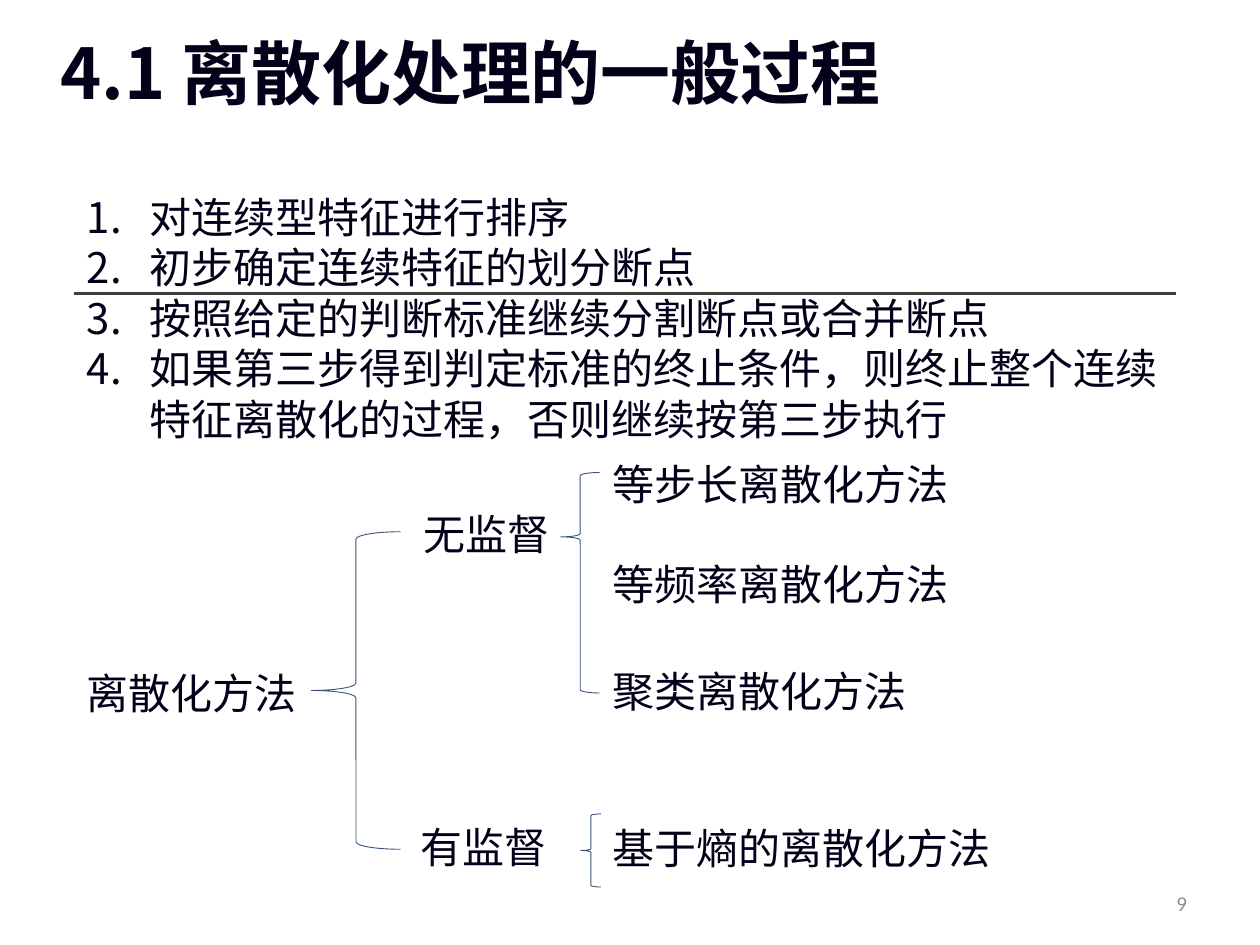
from lxml import etree
from pptx import Presentation
from pptx.dml.color import RGBColor
from pptx.enum.shapes import MSO_CONNECTOR, MSO_SHAPE
from pptx.enum.text import MSO_ANCHOR, PP_ALIGN
from pptx.oxml.ns import qn
from pptx.util import Inches, Pt

COLORS = {"text": "03001A", "rule": "404040", "brace": "39527B", "number": "8C8C8C"}
CJK = "Noto Sans CJK SC"

STEPS = [
    "对连续型特征进行排序",
    "初步确定连续特征的划分断点",
    "按照给定的判断标准继续分割断点或合并断点",
    "如果第三步得到判定标准的终止条件，则终止整个连续特征离散化的过程，否则继续按第三步执行",
]
# Tree labels: text, left, top, width
LABELS = [
    ("离散化方法", 0.59, 5.25, 1.88),
    ("无监督", 3.26, 3.99, 1.27),
    ("有监督", 3.24, 6.47, 1.27),
    ("等步长离散化方法", 4.76, 3.59, 3.7),
    ("等频率离散化方法", 4.76, 4.38, 3.7),
    ("聚类离散化方法", 4.76, 5.23, 3.7),
    ("基于熵的离散化方法", 4.76, 6.48, 3.7),
]
# Braces: left, top, width, height, position of the point
BRACES = [
    (2.47, 4.22, 0.71, 2.52, 0.5),
    (4.45, 3.75, 0.31, 1.75, 0.292),
    (4.61, 6.46, 0.16, 0.58, 0.5),
]


class SlideBuilder:
    def __init__(self, slide, font="Times New Roman", size=24):
        self.s = slide
        self.font = font
        self.size = size

    def color(self, name):
        return RGBColor.from_string(COLORS[name])

    def text(self, lines, x, y, w, h, size=None, font=None, color="text", bold=False):
        sp = self.s.shapes.add_textbox(Inches(x), Inches(y), Inches(w), Inches(h))
        tf = sp.text_frame
        tf.word_wrap = True
        tf.text = "\n".join(lines)
        for p in tf.paragraphs:
            p.font.size = Pt(size or self.size)
            p.font.name = font or self.font
            p.font.bold = bold
            p.font.color.rgb = self.color(color)
            for r in p.runs:
                ea = etree.SubElement(r.font._element, qn("a:ea"))
                ea.set("typeface", CJK)
        return tf

    def numbered(self, lines, x, y, w, h):
        tf = self.text(lines, x, y, w, h)
        for p in tf.paragraphs:
            pPr = p._p.get_or_add_pPr()
            pPr.set("marL", str(Inches(0.5)))
            pPr.set("indent", str(-Inches(0.5)))
            # Bullet elements come before the default run properties
            font = etree.Element(qn("a:buFont"), typeface=CJK)
            number = etree.Element(qn("a:buAutoNum"), type="arabicPeriod")
            pPr.insert(0, font)
            pPr.insert(1, number)

    def rule(self, x1, x2, y):
        line = self.s.shapes.add_connector(
            MSO_CONNECTOR.STRAIGHT, Inches(x1), Inches(y), Inches(x2), Inches(y))
        line.line.color.rgb = self.color("rule")
        line.line.width = Pt(1.5)
        etree.SubElement(line._element.spPr, qn("a:effectLst"))

    def brace(self, x, y, w, h, point):
        sp = self.s.shapes.add_shape(
            MSO_SHAPE.LEFT_BRACE, Inches(x), Inches(y), Inches(w), Inches(h))
        sp.shadow.inherit = False
        sp.fill.background()
        sp.line.color.rgb = self.color("brace")
        sp.line.width = Pt(0.5)
        sp.adjustments[1] = point


def main():
    prs = Presentation()
    prs.slide_width, prs.slide_height = Inches(10), Inches(7.5)
    b = SlideBuilder(prs.slides.add_slide(prs.slide_layouts[6]))

    # Page number
    tf = b.text(["9"], 7.19, 6.97, 2.33, 0.4, size=12, font="Calibri", color="number")
    tf.vertical_anchor = MSO_ANCHOR.MIDDLE
    tf.paragraphs[0].alignment = PP_ALIGN.RIGHT

    # Title
    tf = b.text(["4.1 离散化处理的一般过程"], 0.38, 0.36, 9, 0.94,
                size=40, font=CJK, bold=True)
    tf.margin_top = 0
    tf.paragraphs[0].line_spacing = 0.8

    # Steps and rule
    b.numbered(STEPS, 0.59, 1.47, 8.74, 2.12)
    b.rule(0.59, 9.33, 2.33)

    # Tree of methods
    for label, x, y, w in LABELS:
        b.text([label], x, y, w, 0.5)
    for brace in BRACES:
        b.brace(*brace)

    prs.save("out.pptx")


if __name__ == "__main__":
    main()
